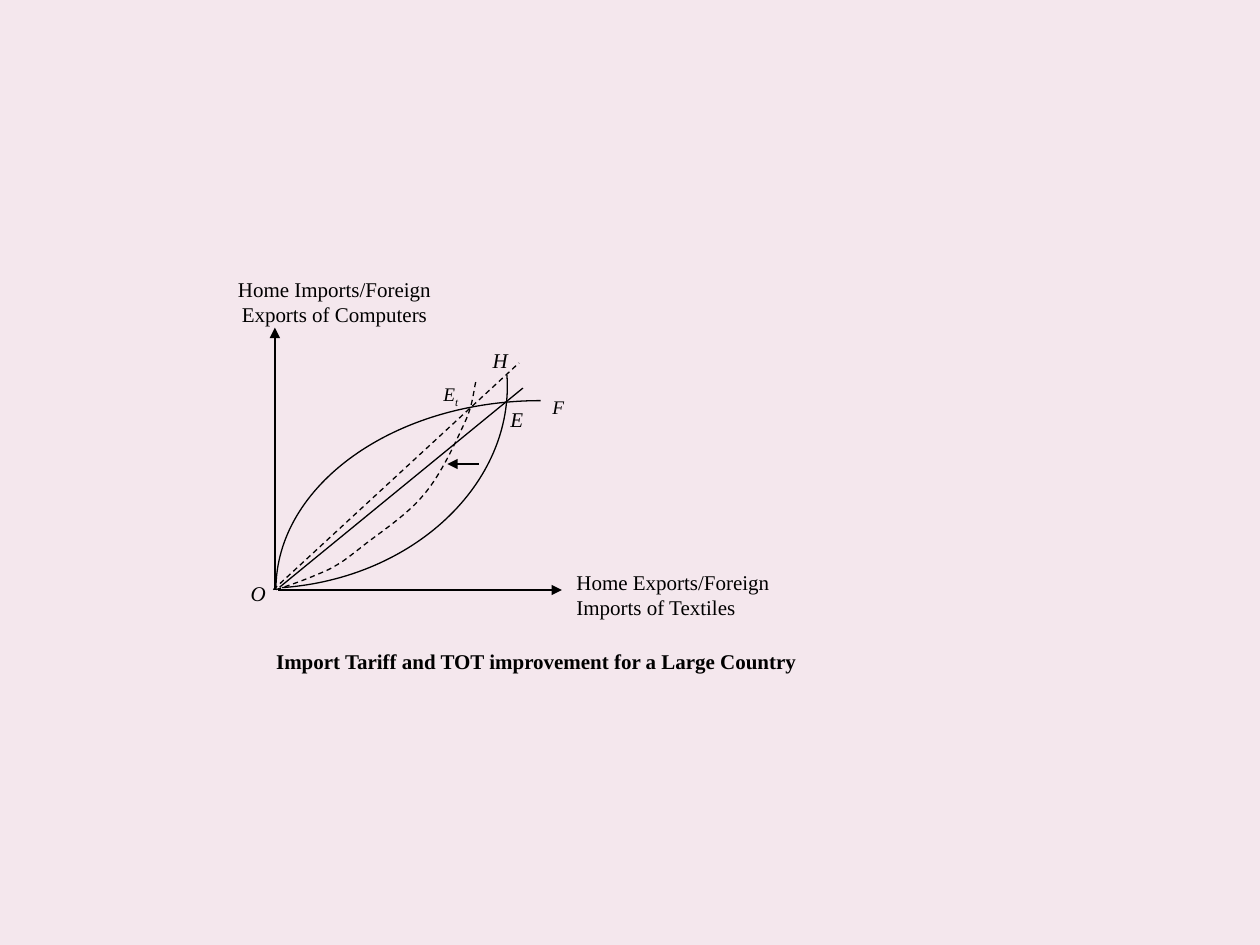
import pptx
import pptx.util
import pptx.dml.color
import pptx.enum.dml
import pptx.enum.shapes
import pptx.enum.text
import pptx.oxml.ns
import lxml.etree

INK = {"line": "000000", "text": "000000", "page": "F4E7ED"}
FONT = "Times New Roman"
ALIGN = pptx.enum.text.PP_ALIGN
rgb = pptx.dml.color.RGBColor.from_string
tag = pptx.oxml.ns.qn

deck = pptx.Presentation()
deck.slide_width = pptx.util.Inches(10)
deck.slide_height = pptx.util.Inches(7.5)
COL = deck.slide_width / 100  # grid of 100 columns by 75 rows
ROW = deck.slide_height / 75

slide = deck.slides.add_slide(deck.slide_layouts[5])
slide.background.fill.solid()
slide.background.fill.fore_color.rgb = rgb(INK["page"])


def write(text, left, top, wide, high, size=12, bold=False, italic=False,
          align=ALIGN.LEFT, pad=0.6, sub="", wrap=False, box=None):
    """Fill a box, new or given, whose place and padding are in grid units."""
    place = [int(v) for v in (left * COL, top * ROW, wide * COL, high * ROW)]
    if box is None:
        box = slide.shapes.add_textbox(*place)
    box.left, box.top, box.width, box.height = place
    frame = box.text_frame
    frame.text = text
    frame.word_wrap = wrap
    frame.auto_size = pptx.enum.text.MSO_AUTO_SIZE.NONE
    frame.vertical_anchor = pptx.enum.text.MSO_ANCHOR.TOP
    frame.margin_left = frame.margin_right = int(pad * COL)
    frame.margin_top = frame.margin_bottom = int(pad * ROW / 2)
    if sub:
        low = frame.paragraphs[0].add_run()
        low.text = sub
        low._r.get_or_add_rPr().set("baseline", "-25000")
    for para in frame.paragraphs:
        para.alignment = align
        for run in para.runs:
            font = run.font
            font.name, font.size = FONT, pptx.util.Pt(size)
            font.bold, font.italic = bold, italic
            font.color.rgb = rgb(INK["text"])


def stroke(shape, width=0.75, dash=False, arrow=False):
    line = shape.line
    line.color.rgb = rgb(INK["line"])
    line.width = pptx.util.Pt(width)
    if dash:
        line.dash_style = pptx.enum.dml.MSO_LINE.DASH
    if arrow:
        tail = lxml.etree.SubElement(line._get_or_add_ln(), tag("a:tailEnd"))
        tail.set("type", "triangle")
    lxml.etree.SubElement(shape._element.spPr, tag("a:effectLst"))


# Offer curves: a start, then two handles and an end for each Bezier arc
curves = [
    ([(21.8, 46), (32.3, 46), (40.8, 39), (40.8, 30.4)], 356, False),
    ([(42.9, 31.8), (31.3, 31.8), (21.9, 38.5), (21.9, 46.8)], 0, False),
    ([(21.9, 46.8), (23.5, 46.3), (25, 45.7), (26.1, 45.2),
      (27.2, 44.6), (27.3, 44.5), (28.6, 43.5),
      (29.8, 42.5), (32.2, 41), (33.6, 39.3),
      (35, 37.7), (36.2, 35), (36.9, 33.5),
      (37.6, 32), (37.6, 30.7), (37.8, 30.2)], 0, True),
]
for knots, turn, dash in curves:
    dots = [(int(x * COL), int(y * ROW)) for x, y in knots]
    pen = slide.shapes.build_freeform(*dots[0])
    pen.add_line_segments(dots[1:], close=False)
    curve = pen.convert_to_shape()
    # Join each three straight segments into one cubic arc
    legs = list(curve._element.iter(tag("a:lnTo")))
    for k in range(0, len(legs), 3):
        arc = lxml.etree.Element(tag("a:cubicBezTo"))
        legs[k].addprevious(arc)
        for leg in legs[k:k + 3]:
            arc.append(leg[0])
            leg.getparent().remove(leg)
    curve.rotation = turn
    curve.fill.background()
    stroke(curve, dash=dash)

# Axes, price rays and the shift arrow
lines = [
    (21.82, 26.8, 21.82, 46.8, {"width": 1}),
    (21.82, 29.2, 21.82, 26, {"width": 0.5, "arrow": True}),
    (22.1, 46.83, 44.6, 46.83, {"arrow": True}),
    (22.2, 46.6, 41.5, 30.8, {}),
    (21.7, 46.8, 41.2, 28.8, {"dash": True}),
    (38, 36.83, 35.5, 36.83, {"arrow": True}),
]
for x1, y1, x2, y2, look in lines:
    line = slide.shapes.add_connector(
        pptx.enum.shapes.MSO_CONNECTOR.STRAIGHT,
        int(x1 * COL), int(y1 * ROW), int(x2 * COL), int(y2 * ROW))
    stroke(line, **look)

write(" Import Tariff and TOT improvement for a Large Country",
      20.9, 51.2, 43.8, 2.6, bold=True, box=slide.shapes.title)
write("Home Exports/Foreign\nImports of Textiles", 45.15, 44.9, 18.2, 4.4, wrap=True)
write("Home Imports/Foreign\nExports of Computers", 18.3, 21.65, 16.5, 4.4,
      align=ALIGN.CENTER)
write("H", 38.5, 27.3, 2.5, 2.5, italic=True)
write("O", 19.3, 45.8, 2.4, 2.5, italic=True)
write("F", 42.65, 30.8, 3.4, 2.9, size=11, italic=True, pad=1.2)
write("E", 39.3, 31.7, 3.4, 3.1, italic=True, pad=1.2)
write("E", 34.2, 29.85, 3.2, 2.8, size=11, italic=True, pad=1, sub="t")

deck.save("out.pptx")
